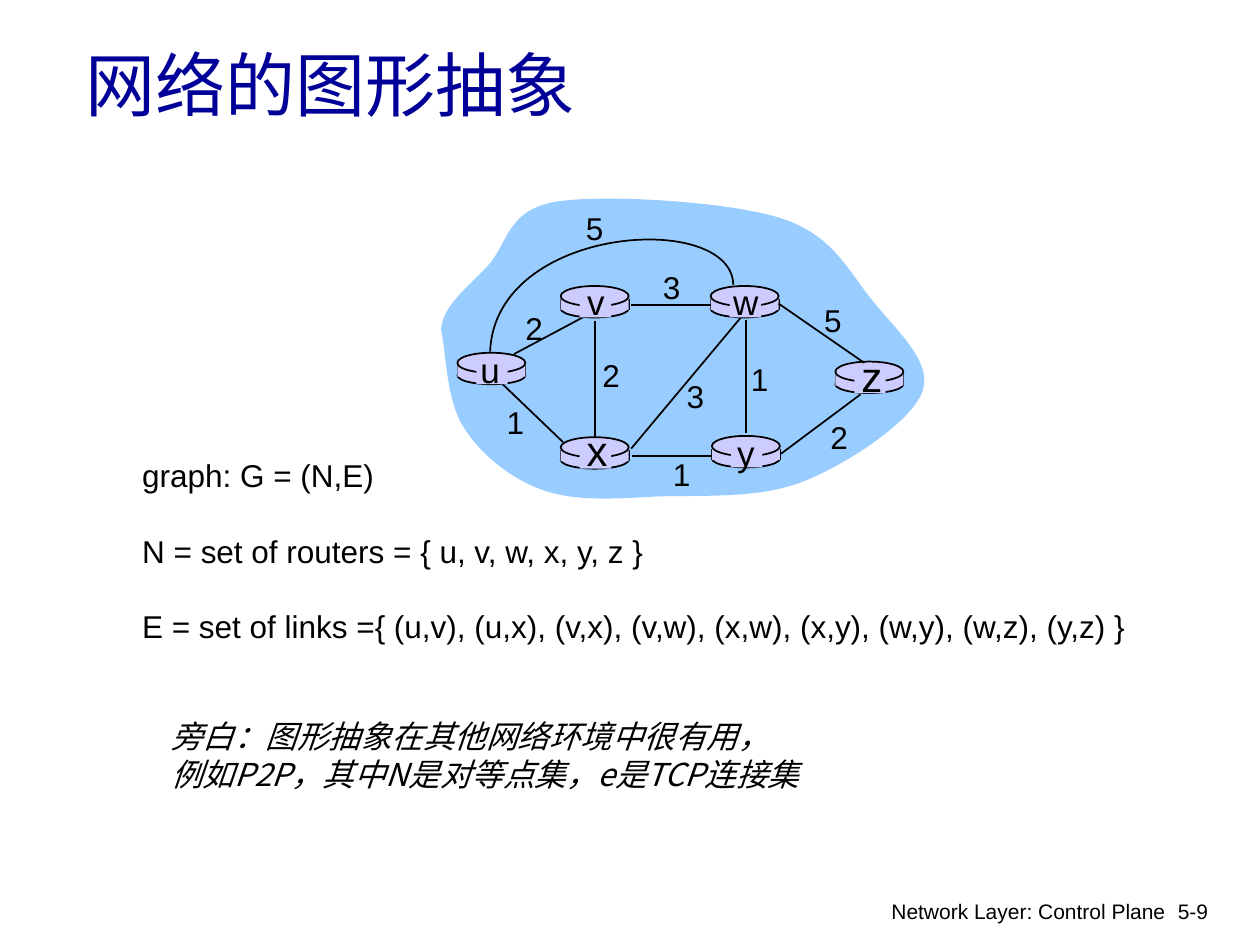
"""Build a slide showing the graph abstraction of a router network."""
from dataclasses import dataclass
from typing import Any, NamedTuple

from lxml import etree
from pptx import Presentation
from pptx.dml.color import RGBColor
from pptx.enum.shapes import MSO_CONNECTOR, MSO_SHAPE
from pptx.enum.text import MSO_ANCHOR, MSO_AUTO_SIZE, PP_ALIGN
from pptx.oxml.ns import qn
from pptx.util import Cm, Pt

ELLIPSE, RECTANGLE = MSO_SHAPE.OVAL, MSO_SHAPE.RECTANGLE
STRAIGHT = MSO_CONNECTOR.STRAIGHT
MIDDLE, TOP = MSO_ANCHOR.MIDDLE, MSO_ANCHOR.TOP
FIXED = MSO_AUTO_SIZE.NONE
LEFT, CENTER, RIGHT = PP_ALIGN.LEFT, PP_ALIGN.CENTER, PP_ALIGN.RIGHT
TITLE_ONLY = 5
ROUTER_WIDTH = 0.54

Point = tuple[float, float]


@dataclass(frozen=True)
class Theme:
    """Colours, fonts and type sizes of the slide."""
    ink: RGBColor = RGBColor(0, 0, 0)
    heading: RGBColor = RGBColor(0, 0, 0x99)
    cloud: RGBColor = RGBColor(0x99, 0xCC, 0xFF)
    router: RGBColor = RGBColor(0xCC, 0xCC, 0xFF)
    latin: str = "Arial"
    chinese: str = "Noto Sans CJK SC"
    title: int = 40
    large: int = 24
    medium: int = 20
    body: int = 18
    footer: int = 12


THEME = Theme()


class Label(NamedTuple):
    """A short text, placed by its centre."""
    text: str
    x: float
    y: float
    size: int = THEME.body


class Router(NamedTuple):
    """A router, placed by the corner of its top face."""
    left: float
    top: float
    label: Label


class Link(NamedTuple):
    """A straight link between two points."""
    start: Point
    end: Point


class Box(NamedTuple):
    """A frame in inches."""
    left: float
    top: float
    width: float
    height: float


ROUTERS = [Router(3.63, 2.8, Label("u", 3.89, 2.93, THEME.medium)),
           Router(4.45, 3.47, Label("x", 4.74, 3.57, THEME.large)),
           Router(4.45, 2.27, Label("v", 4.73, 2.39, THEME.medium)),
           Router(5.64, 2.27, Label("w", 5.92, 2.39, THEME.medium)),
           Router(5.65, 3.46, Label("y", 5.92, 3.59, THEME.medium)),
           Router(6.63, 2.87, Label("z", 6.92, 2.98, THEME.large))]
LINK_BEHIND = Link((4.08, 2.81), (4.68, 2.49))
LINKS = [Link((5.92, 2.54), (5.92, 3.44)), Link((4.72, 2.55), (4.72, 3.48)),
         Link((5.01, 3.56), (5.88, 2.52)), Link((6.2, 3.6), (6.83, 3.13)),
         Link((5.65, 3.62), (5.02, 3.62)), Link((4.47, 3.51), (3.99, 3.05)),
         Link((5.64, 2.42), (5.01, 2.42)), Link((6.86, 2.88), (6.18, 2.41))]
COSTS = [Label("2", 4.24, 2.6), Label("2", 4.85, 2.98), Label("1", 4.09, 3.35),
         Label("3", 5.52, 3.14), Label("1", 5.41, 3.76), Label("1", 6.03, 3.01),
         Label("2", 6.66, 3.47), Label("5", 6.61, 2.54), Label("3", 5.33, 2.28),
         Label("5", 4.72, 1.81)]
CLOUD = [(3.5, 2.62), (3.51, 2.42), (3.73, 2.27), (3.88, 2.1), (4.03, 1.93), (4.03, 1.66),
         (4.42, 1.6), (4.8, 1.54), (5.78, 1.6), (6.19, 1.73), (6.61, 1.86), (6.73, 2.15),
         (6.92, 2.38), (7.1, 2.61), (7.41, 2.87), (7.32, 3.11), (7.23, 3.35), (6.73, 3.68),
         (6.38, 3.82), (6.03, 3.96), (5.57, 3.93), (5.22, 3.94), (4.88, 3.96), (4.56, 3.98),
         (4.31, 3.89), (4.05, 3.8), (3.81, 3.6), (3.68, 3.39), (3.54, 3.18), (3.54, 2.78),
         (3.5, 2.62)]
ARC = [(5.82, 2.26), (5.81, 1.67), (3.93, 1.78), (3.89, 2.79)]
SETS = ["graph: G = (N,E)", "N = set of routers = { u, v, w, x, y, z }",
        "E = set of links ={ (u,v), (u,x), (v,x), (v,w), (x,w), (x,y), (w,y), (w,z), (y,z) }"]
ASIDE = ["旁白：图形抽象在其他网络环境中很有用，", "例如P2P，其中N是对等点集，e是TCP连接集"]


def length(inches: float) -> Cm:
    """Convert inches to a length."""
    return Cm(inches * 2.54)


def apply(target: Any, values: dict[str, Any]) -> None:
    """Set each named attribute on the target."""
    for name, value in values.items():
        setattr(target, name, value)


def write(shape: Any, lines: list[str], size: int, font: str = THEME.latin,
          color: RGBColor = THEME.ink, anchor: MSO_ANCHOR = TOP, wrap: bool = True,
          italic: bool = False, **paragraph_format: Any) -> None:
    """Fill a shape with formatted paragraphs."""
    frame = shape.text_frame
    apply(frame, {"word_wrap": wrap, "vertical_anchor": anchor, "auto_size": FIXED})
    for index, line in enumerate(lines):
        paragraph = frame.add_paragraph() if index else frame.paragraphs[0]
        apply(paragraph, paragraph_format)
        run = paragraph.add_run()
        run.text = line
        apply(run.font, {"size": Pt(size), "name": font, "italic": italic})
        run.font.color.rgb = color
        east_asian = etree.Element(qn("a:ea"), typeface=font)
        run.font._element.find(qn("a:latin")).addnext(east_asian)


def add_text(shapes: Any, box: Box, lines: list[str], size: int, **options: Any) -> Any:
    """Add a text box and return it."""
    shape = shapes.add_textbox(*map(length, box))
    write(shape, lines, size, **options)
    return shape


def outline(line: Any) -> None:
    """Give a line its colour and width."""
    line.color.rgb = THEME.ink
    line.width = Pt(1)


def paint(shape: Any, fill: RGBColor | None, outlined: bool) -> None:
    """Set the fill and outline of a shape."""
    shape.shadow.inherit = False
    if fill is None:
        shape.fill.background()
    else:
        shape.fill.solid()
        shape.fill.fore_color.rgb = fill
    if outlined:
        outline(shape.line)
    else:
        shape.line.fill.background()


def add_part(shapes: Any, kind: MSO_SHAPE, box: Box, outlined: bool) -> None:
    """Add one solid part of a router."""
    paint(shapes.add_shape(kind, *map(length, box)), THEME.router, outlined)


def add_link(shapes: Any, link: Link) -> None:
    """Add a straight line."""
    connector = shapes.add_connector(STRAIGHT, *map(length, link.start + link.end))
    outline(connector.line)
    etree.SubElement(connector._element.spPr, qn("a:effectLst"))


def add_curve(shapes: Any, controls: list[Point], fill: RGBColor | None, outlined: bool) -> None:
    """Add an outline of cubic curves, three control points to a segment."""
    corners = [(length(x), length(y)) for x, y in controls]
    builder = shapes.build_freeform(*corners[0])
    builder.add_line_segments(corners[1:], close=fill is not None)
    shape = builder.convert_to_shape()
    steps = list(shape._element.iter(qn("a:lnTo")))
    for first in range(0, len(steps), 3):
        curve = etree.Element(qn("a:cubicBezTo"))
        steps[first].addprevious(curve)
        for step in steps[first:first + 3]:
            curve.append(step[0])
            step.getparent().remove(step)
    paint(shape, fill, outlined)


def add_router(shapes: Any, router: Router) -> None:
    """Draw a router as a short cylinder."""
    left, top = router.left, router.top
    add_part(shapes, ELLIPSE, Box(left, top + 0.11, ROUTER_WIDTH, 0.14), True)
    for x in (left, left + ROUTER_WIDTH):
        add_link(shapes, Link((x, top + 0.1), (x, top + 0.19)))
    add_part(shapes, RECTANGLE, Box(left, top + 0.1, ROUTER_WIDTH, 0.09), False)
    add_part(shapes, ELLIPSE, Box(left, top, ROUTER_WIDTH, 0.16), True)


def add_label(shapes: Any, label: Label) -> None:
    """Centre a short label on its point."""
    width, height = 0.36, label.size / 60 + 0.1
    add_text(shapes, Box(label.x - width / 2, label.y - height / 2, width, height),
             [label.text], label.size, wrap=False, alignment=CENTER)


def add_network(shapes: Any) -> None:
    """Draw the cloud with its routers, links and costs."""
    add_curve(shapes, CLOUD, THEME.cloud, False)
    add_link(shapes, LINK_BEHIND)
    for router in ROUTERS:
        add_router(shapes, router)
    for link in LINKS:
        add_link(shapes, link)
    add_curve(shapes, ARC, None, True)
    for router in ROUTERS:
        add_part(shapes, RECTANGLE, Box(router.left + 0.15, router.top + 0.02, 0.25, 0.23), False)
        add_label(shapes, router.label)
    for cost in COSTS:
        add_label(shapes, cost)


def main() -> None:
    """Build and save the presentation."""
    presentation = Presentation()
    apply(presentation, {"slide_width": length(10), "slide_height": length(7.5)})
    slide = presentation.slides.add_slide(presentation.slide_layouts[TITLE_ONLY])
    title, shapes = slide.shapes.title, slide.shapes
    title_box = Box(0.58, 0.23, 8.5, 0.87)
    apply(title, {name: length(value) for name, value in title_box._asdict().items()})
    write(title, ["网络的图形抽象"], THEME.title, font=THEME.chinese, color=THEME.heading,
          anchor=MIDDLE, alignment=LEFT)
    add_network(shapes.add_group_shape().shapes)
    sets = add_text(shapes, Box(1.03, 3.57, 8.09, 1.6), SETS, THEME.body, wrap=False)
    for paragraph in sets.text_frame.paragraphs[1:]:
        paragraph.space_before = Pt(21.6)
    aside = add_text(shapes, Box(1.26, 5.64, 5.25, 0.71), ASIDE, THEME.body,
                     font=THEME.chinese, italic=True, line_spacing=Pt(21.6))
    for paragraph in aside.text_frame.paragraphs:
        indents = {"marL": str(length(0.32)), "indent": str(-length(0.32))}
        paragraph._p.get_or_add_pPr().attrib.update(indents)
    add_text(shapes, Box(9.25, 7.08, 0.6, 0.3), ["5-9"], THEME.footer)
    add_text(shapes, Box(6.97, 7.08, 2.38, 0.26), ["Network Layer: Control Plane"],
             THEME.footer, alignment=RIGHT)
    presentation.save("out.pptx")


if __name__ == "__main__":
    main()
